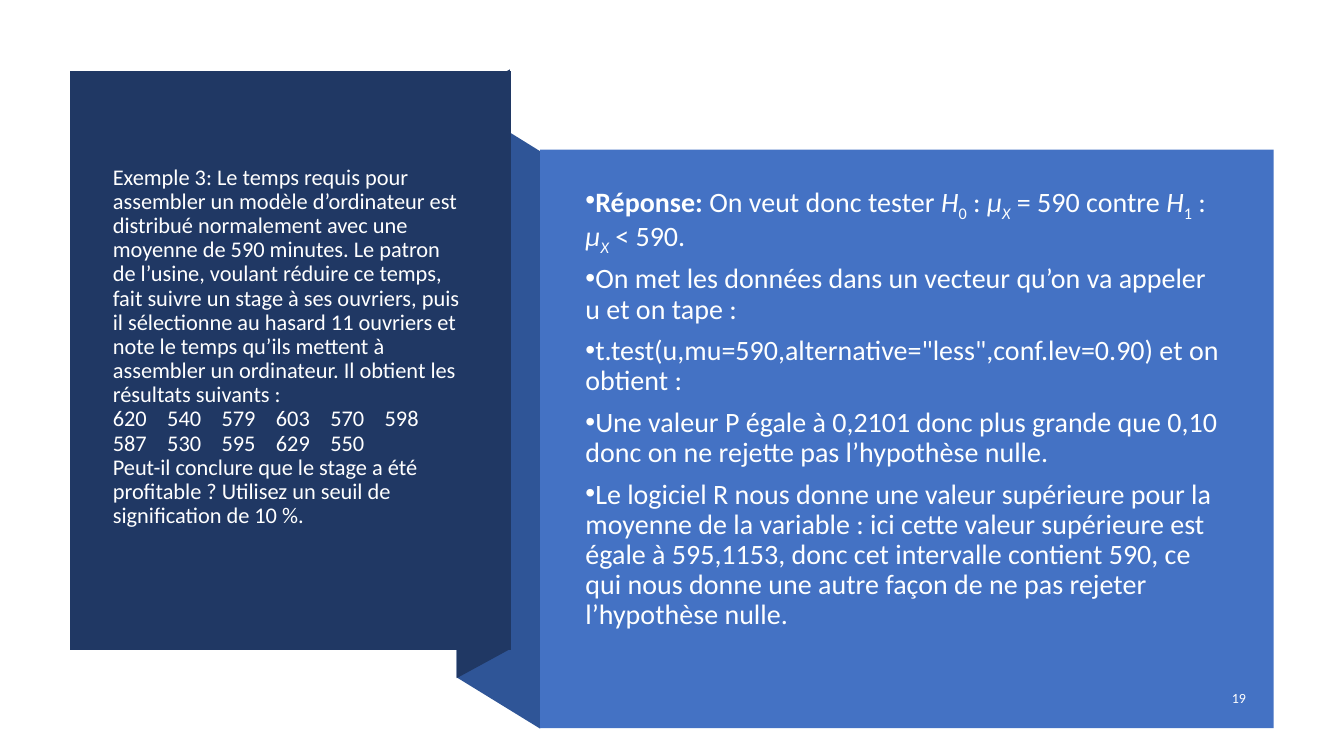
from copy import deepcopy

from pptx import Presentation
from pptx.dml.color import RGBColor
from pptx.enum.shapes import MSO_SHAPE
from pptx.enum.text import MSO_ANCHOR, MSO_AUTO_SIZE, PP_ALIGN
from pptx.oxml.ns import qn
from pptx.util import Cm, Pt

RECT = MSO_SHAPE.RECTANGLE
MIDDLE = MSO_ANCHOR.MIDDLE
LEFT, RIGHT = PP_ALIGN.LEFT, PP_ALIGN.RIGHT

THEME = {
    "font": "Calibri",
    "white": RGBColor(0xFF, 0xFF, 0xFF),
    "soft": RGBColor(0xFE, 0xFF, 0xFF),
    "navy": RGBColor(0x20, 0x38, 0x64),
    "fold": RGBColor(0x2F, 0x55, 0x97),
    "blue": RGBColor(0x44, 0x72, 0xC4),
    "title": Pt(16),
    "body": Pt(20),
    "page": Pt(10),
}


def write(para, text, size, color, style=""):
    """Add a run; style letters: b bold, i italic, s subscript."""
    run = para.add_run()
    run.text = text
    looks = {"name": THEME["font"], "size": THEME[size],
             "bold": "b" in style, "italic": "i" in style}
    for key, value in looks.items():
        setattr(run.font, key, value)
    run.font.color.rgb = THEME[color]
    if "s" in style:
        run._r.get_or_add_rPr().set("baseline", "-25000")
    return run


def place(shape, box, foot=0.13):
    """Position a text shape in cm and set up its frame."""
    for key, value in zip(("left", "top", "width", "height"), box):
        setattr(shape, key, Cm(value))
    frame = shape.text_frame
    looks = {"word_wrap": True, "auto_size": MSO_AUTO_SIZE.NONE,
             "vertical_anchor": MIDDLE, "margin_bottom": Cm(foot)}
    for key, value in looks.items():
        setattr(frame, key, value)
    return frame


deck = Presentation()
deck.slide_width, deck.slide_height = Cm(33.87), Cm(19.05)
slide = deck.slides.add_slide(deck.slide_layouts[1])
shapes = slide.shapes
title, body = shapes.title, slide.placeholders[1]

# Folded ribbon and dark panel
outlines = [
    ("fold", [(13.61, 18.36), (11.51, 17.07), (11.51, 2.51), (13.61, 3.81)]),
    ("navy", [(12.85, 16.36), (11.51, 17.09), (11.51, 2.49), (12.85, 1.75)]),
    ("navy", [(1.76, 1.78), (12.87, 1.78), (12.87, 16.38), (1.76, 16.38)]),
]
panels = []
for color, points in outlines:
    spots = [(Cm(x), Cm(y)) for x, y in points]
    pen = shapes.build_freeform(*spots[0])
    pen.add_line_segments(spots[1:], close=True)
    panels.append((pen.convert_to_shape(), color))

# Answer panel
answer = shapes.add_shape(RECT, Cm(13.61), Cm(3.77), Cm(18.49), Cm(14.58))
panels.append((answer, "blue"))
for panel, color in panels:
    panel.shadow.inherit = False
    panel.fill.solid()
    panel.fill.fore_color.rgb = THEME[color]
    panel.line.fill.background()

# Bring the placeholders in front of the panels
tree = title.element.getparent()
for holder in (title, body):
    tree.append(holder.element)

# Problem statement
times = (620, 540, 579, 603, 570, 598, 587, 530, 595, 629, 550)
lines = [
    "Exemple 3: Le temps requis pour assembler un modèle d’ordinateur est "
    "distribué normalement avec une moyenne de 590 minutes. Le patron de "
    "l’usine, voulant réduire ce temps, fait suivre un stage à ses ouvriers, "
    "puis il sélectionne au hasard 11 ouvriers et note le temps qu’ils mettent "
    "à assembler un ordinateur. Il obtient les résultats suivants :",
    "\t".join(map(str, times)),
    "Peut-il conclure que le stage a été profitable ? Utilisez un seuil de "
    "signification de 10 %.",
]
para = place(title, (2.59, 2.72, 9.42, 12.67), foot=0.74).paragraphs[0]
para.alignment, para.line_spacing = LEFT, 0.9
para.space_before, para.space_after = Pt(0), Pt(8)
props = para._p.get_or_add_pPr()
stops = props.makeelement(qn("a:tabLst"), {})
props.append(stops)
for col in range(1, 7):
    stop = {"pos": str(Cm(1.37 * col)), "algn": "l"}
    stops.append(stops.makeelement(qn("a:tab"), stop))
for row, line in enumerate(lines):
    if row:
        para.add_line_break()
    run = write(para, line, "title", "white")
for gap in para._p.findall(qn("a:br")):
    gap.append(deepcopy(run._r.rPr))

# Answer list
items = [
    [("Réponse: ", "b"), ("On veut donc tester ", ""),
     ("H", "i"), ("0", "s"), (" : ", ""), ("µ", "i"), ("X", "is"),
     (" = 590 contre ", ""),
     ("H", "i"), ("1", "s"), (" : ", ""), ("µ", "i"), ("X", "is"),
     (" < 590.", "")],
    [("On met les données dans un vecteur qu’on va appeler u et on tape :", "")],
    [('t.test(u,mu=590,alternative="less",conf.lev=0.90) et on obtient :', "")],
    [("Une valeur P égale à 0,2101 donc plus grande que 0,10 donc on ne "
      "rejette pas l’hypothèse nulle.", "")],
    [("Le logiciel R nous donne une valeur supérieure pour la moyenne de la "
      "variable : ici cette valeur supérieure est égale à 595,1153, donc cet "
      "intervalle contient 590, ce qui nous donne une autre façon de ne pas "
      "rejeter l’hypothèse nulle.", "")],
]
frame = place(body, (14.5, 4.78, 16.54, 12.04), foot=1.17)
for row, item in enumerate(items):
    para = frame.add_paragraph() if row else frame.paragraphs[0]
    para.alignment, para.line_spacing = LEFT, 0.9
    para.space_before, para.space_after = Pt(0), Pt(8)
    props = para._p.get_or_add_pPr()
    props.set("marL", "0")
    props.set("indent", str(-Cm(0.64)))
    props.append(props.makeelement(qn("a:buChar"), {"char": "•"}))
    for text, style in item:
        write(para, text, "body", "soft", style)

# Page number
box = (29.74, 17.15, 1.91, 0.89)
page = shapes.add_textbox(*map(Cm, box))
para = place(page, box).paragraphs[0]
para.alignment, para.space_after = RIGHT, Pt(6)
write(para, "19", "page", "white")

deck.save("out.pptx")
